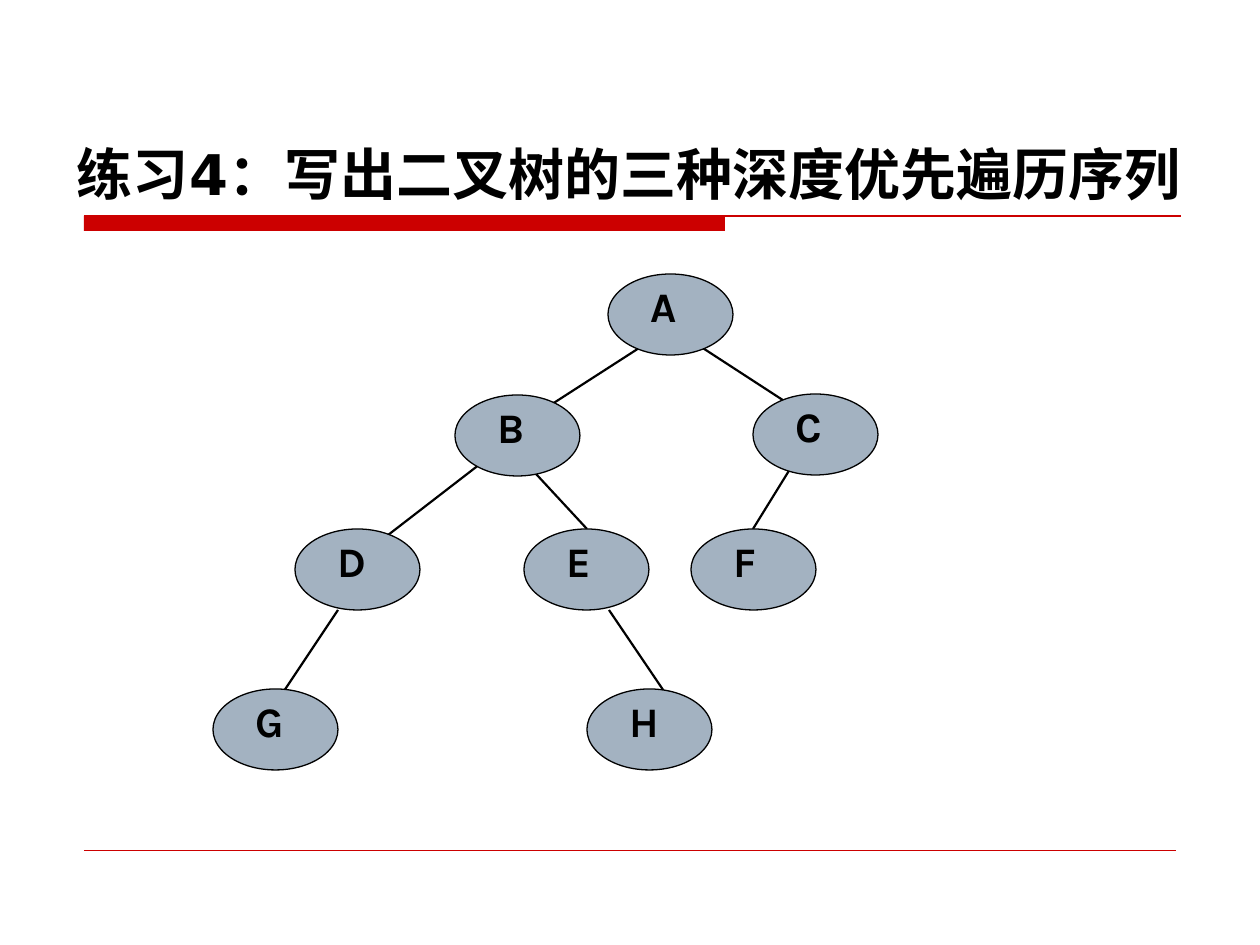
import pptx
import pptx.dml.color
import pptx.enum.shapes
import pptx.enum.text
import pptx.oxml.ns
import pptx.util
from lxml import etree

SCALE = 914400 / 126
COLORS = {"black": "000000", "red": "CC0000", "node": "A3B2C1"}
NODE_WIDTH, NODE_HEIGHT = 125, 81
LABEL_SHIFT, LABEL_HEIGHT = 10, 63
NODES = {
    "A": (608, 274),
    "B": (455, 395),
    "C": (753, 394),
    "D": (295, 529),
    "E": (524, 529),
    "F": (691, 529),
    "G": (213, 689),
    "H": (587, 689),
}
EDGES = [
    (650, 341, 546, 408),
    (484, 461, 379, 542),
    (338, 610, 276, 703),
    (524, 461, 587, 529),
    (692, 341, 795, 408),
    (795, 461, 753, 529),
    (609, 610, 672, 703),
]


def px(*lengths):
    return [pptx.util.Emu(round(length * SCALE)) for length in lengths]


def rgb(name):
    return pptx.dml.color.RGBColor.from_string(COLORS[name])


def write_text(box, text, font, size, anchor, margin_left):
    frame = box.text_frame
    frame.word_wrap = True
    frame.auto_size = pptx.enum.text.MSO_AUTO_SIZE.NONE
    frame.vertical_anchor = anchor
    frame.margin_left = px(margin_left)[0]
    para = frame.paragraphs[0]
    para.alignment = pptx.enum.text.PP_ALIGN.LEFT
    span = para.add_run()
    span.text = text
    span.font.name = font
    span.font.size = pptx.util.Pt(size)
    span.font.bold = True
    span.font.color.rgb = rgb("black")


def add_title(page, text):
    title = page.shapes.title
    title.left, title.top, title.width, title.height = px(64, 45, 1142, 168)
    write_text(title, text, font="DejaVu Sans", size=32,
               anchor=pptx.enum.text.MSO_ANCHOR.BOTTOM, margin_left=13)


def add_line(page, ends, color, weight):
    line = page.shapes.add_connector(
        pptx.enum.shapes.MSO_CONNECTOR.STRAIGHT, *px(*ends))
    line.line.color.rgb = rgb(color)
    line.line.width = pptx.util.Pt(weight)
    properties = line._element.spPr
    etree.SubElement(properties, pptx.oxml.ns.qn("a:effectLst"))


def add_shape(page, kind, place, fill, line):
    shape = page.shapes.add_shape(kind, *px(*place))
    shape.shadow.inherit = False
    shape.fill.solid()
    shape.fill.fore_color.rgb = rgb(fill)
    if line:
        shape.line.color.rgb = rgb(line)
        shape.line.width = pptx.util.Pt(0.75)
    else:
        shape.line.fill.background()


def add_node(page, letter, left, top):
    add_shape(page, pptx.enum.shapes.MSO_SHAPE.OVAL,
              (left, top, NODE_WIDTH, NODE_HEIGHT), "node", "black")
    label = page.shapes.add_textbox(
        *px(left + LABEL_SHIFT, top, NODE_WIDTH, LABEL_HEIGHT))
    write_text(label, letter, font="Karla", size=24,
               anchor=pptx.enum.text.MSO_ANCHOR.TOP, margin_left=33)


def main():
    deck = pptx.Presentation()
    deck.slide_width, deck.slide_height = px(1260, 945)
    page = deck.slides.add_slide(deck.slide_layouts.get_by_name("Title Only"))
    add_shape(page, pptx.enum.shapes.MSO_SHAPE.RECTANGLE,
              (84, 216, 641, 15), "red", None)
    add_line(page, (84, 216, 1181, 216), "red", 0.75)
    add_line(page, (84, 850, 1176, 850), "red", 0.25)
    add_title(page, "练习4：写出二叉树的三种深度优先遍历序列")
    for ends in EDGES:
        add_line(page, ends, "black", 1.25)
    for letter, (left, top) in NODES.items():
        add_node(page, letter, left, top)
    deck.save("out.pptx")


if __name__ == "__main__":
    main()
